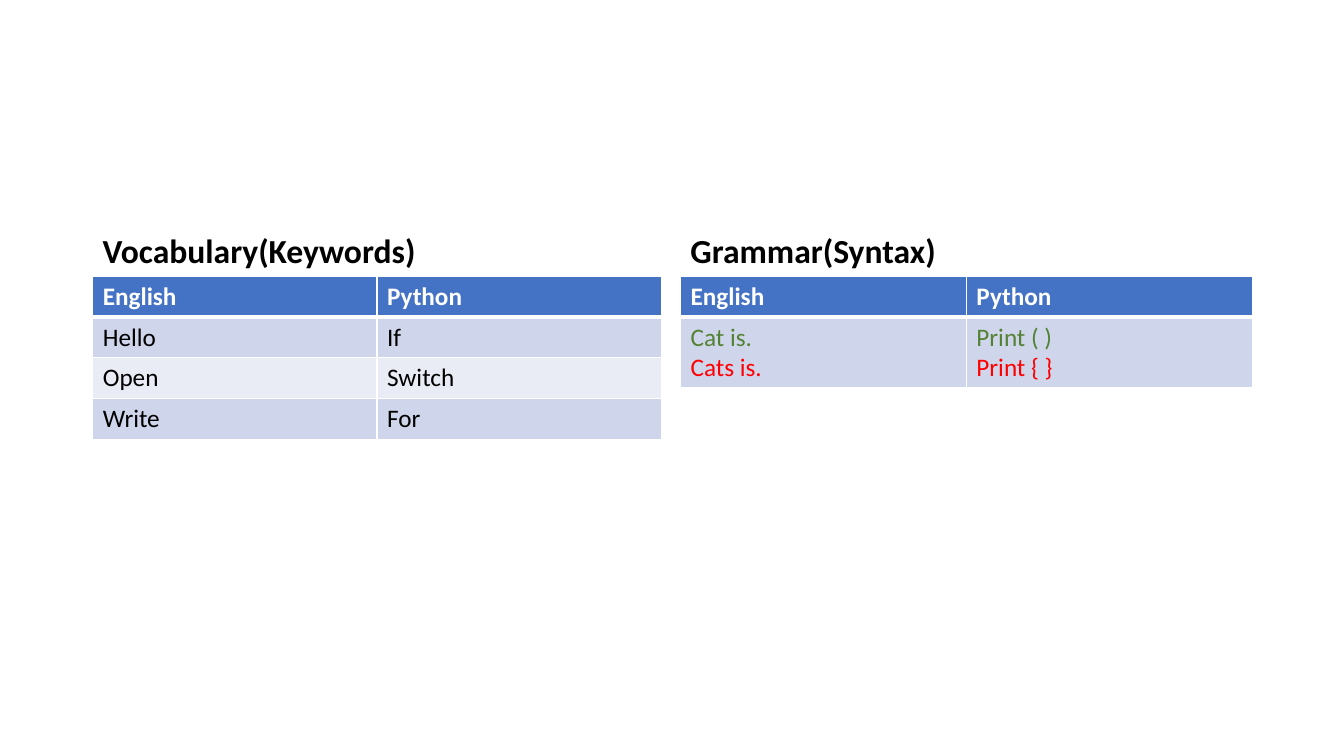
from pptx import Presentation
from pptx.dml.color import RGBColor
from pptx.enum.text import MSO_ANCHOR
from pptx.oxml.ns import qn
from pptx.util import Inches, Pt
from lxml import etree

BOTTOM = MSO_ANCHOR.BOTTOM

THEME = {
    "font": "Calibri", "heading": 24, "body": 18,
    "text": "000000", "white": "FFFFFF", "header": "4472C4",
    "bands": ("CFD5EA", "E9EBF5"), "right": "548235", "wrong": "FF0000",
    "border": 1, "header_border": 3,
}

PANELS = [
    {"title": "Vocabulary(Keywords)", "left": 0.92, "width": 5.64,
     "rows": [("English", "Python"), ("Hello", "If"),
              ("Open", "Switch"), ("Write", "For")],
     "heights": (0.405, 0.405, 0.405, 0.405), "line_colors": ("text",)},
    {"title": "Grammar(Syntax)", "left": 6.75, "width": 5.67,
     "rows": [("English", "Python"),
              ("Cat is.\nCats is.", "Print ( )\nPrint { }")],
     "heights": (0.405, 0.7), "line_colors": ("right", "wrong")},
]
TITLE_TOP, TITLE_HEIGHT = 1.84, 0.9


def rgb(name):
    return RGBColor.from_string(THEME.get(name, name))


def style(p, size, color, bold):
    p.font.name = THEME["font"]
    p.font.size = Pt(THEME[size])
    p.font.color.rgb = rgb(color)
    p.font.bold = bold


def set_borders(cell, row):
    tc_pr = cell._tc.get_or_add_tcPr()
    thick = {0: "lnB", 1: "lnT"}.get(row)
    for i, side in enumerate(("lnL", "lnR", "lnT", "lnB")):
        width = THEME["header_border" if side == thick else "border"]
        ln = etree.Element(qn("a:" + side), w=str(Pt(width)))
        fill = etree.SubElement(ln, qn("a:solidFill"))
        etree.SubElement(fill, qn("a:srgbClr"), val=THEME["white"])
        tc_pr.insert(i, ln)


def add_title(s, panel):
    box = s.shapes.add_textbox(Inches(panel["left"]), Inches(TITLE_TOP),
                               Inches(panel["width"]), Inches(TITLE_HEIGHT))
    tf = box.text_frame
    tf.word_wrap = True
    tf.vertical_anchor = BOTTOM
    p = tf.paragraphs[0]
    p.text = panel["title"]
    p.line_spacing = 0.9
    p.space_before = Pt(10)
    style(p, "heading", "text", True)


def add_panel_table(s, panel):
    rows, heights = panel["rows"], panel["heights"]
    table = s.shapes.add_table(
        len(rows), len(rows[0]), Inches(panel["left"]),
        Inches(TITLE_TOP + TITLE_HEIGHT), Inches(panel["width"]),
        Inches(sum(heights))).table
    for r, values in enumerate(rows):
        table.rows[r].height = Inches(heights[r])
        header = r == 0
        for c, value in enumerate(values):
            cell = table.cell(r, c)
            cell.text = value
            cell.fill.solid()
            cell.fill.fore_color.rgb = rgb(
                "header" if header else THEME["bands"][(r - 1) % 2])
            set_borders(cell, r)
            colors = ("white",) if header else panel["line_colors"]
            for p, color in zip(cell.text_frame.paragraphs, colors):
                style(p, "body", color, header)


def main():
    prs = Presentation()
    prs.slide_width, prs.slide_height = Inches(13.33), Inches(7.5)
    s = prs.slides.add_slide(prs.slide_layouts[6])
    for panel in PANELS:
        add_title(s, panel)
        add_panel_table(s, panel)
    prs.save("out.pptx")


if __name__ == "__main__":
    main()
